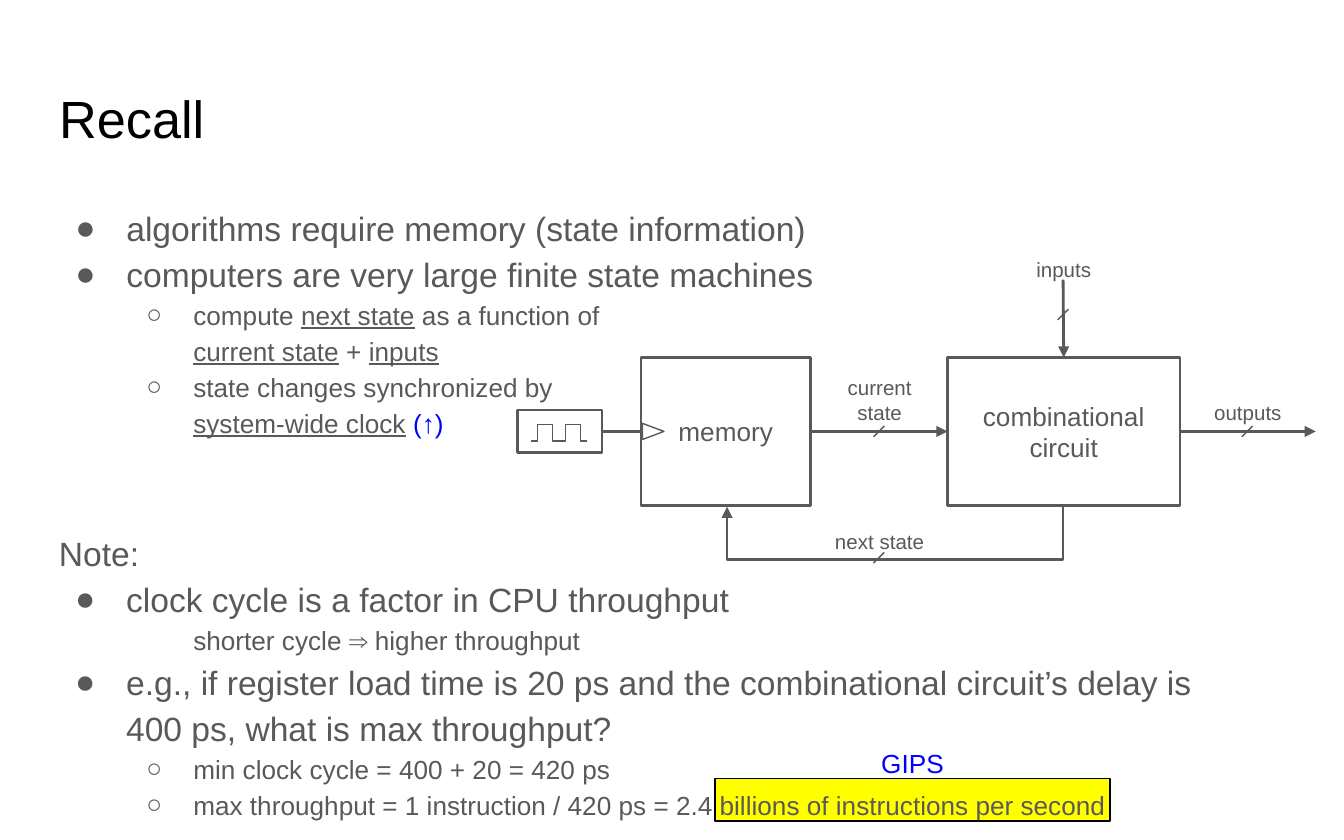
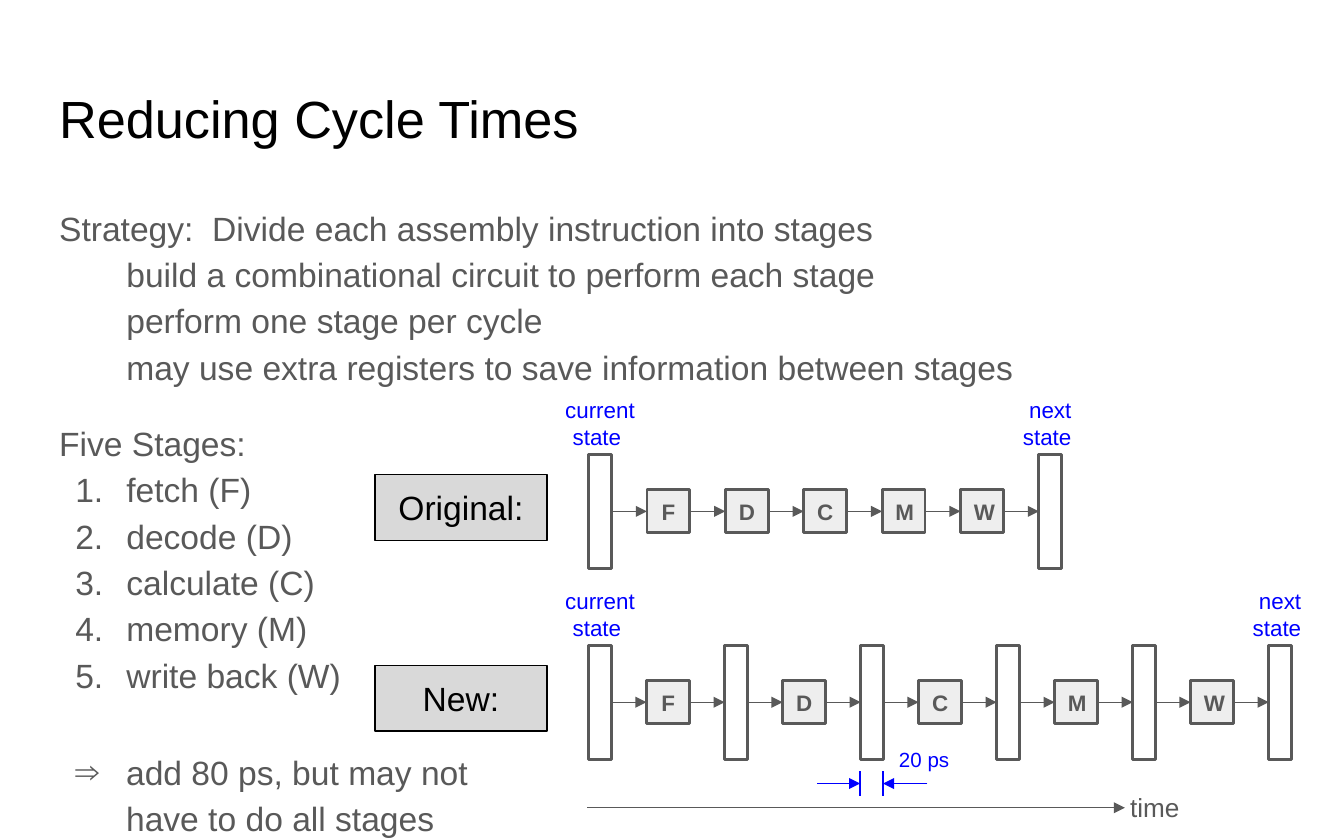
from dataclasses import dataclass

from lxml import etree
from pptx import Presentation
from pptx.dml.color import RGBColor
from pptx.enum.shapes import MSO_CONNECTOR, MSO_SHAPE
from pptx.enum.text import MSO_ANCHOR, MSO_AUTO_SIZE, PP_ALIGN
from pptx.oxml.ns import qn
from pptx.util import Inches, Pt

RECTANGLE, TRIANGLE = MSO_SHAPE.RECTANGLE, MSO_SHAPE.ISOSCELES_TRIANGLE
STRAIGHT = MSO_CONNECTOR.STRAIGHT
TOP, MIDDLE = MSO_ANCHOR.TOP, MSO_ANCHOR.MIDDLE
LEFT, CENTER = PP_ALIGN.LEFT, PP_ALIGN.CENTER
SIDE_TOP, SIDE_LEFT, SIDE_RIGHT = 0, 1, 3

COLORS = {
    "black": "000000", "gray": "595959", "blue": "0000FF",
    "yellow": "FFFF00", "badge": "D9D9D9", "stage": "EEEEEE",
}
FONT = "Arial"
THIN, THICK = 0.75, 1.5
BODY_SPACING = 1.15


@dataclass(frozen=True)
class Box:
    left: float
    top: float
    width: float
    height: float


@dataclass(frozen=True)
class Span:
    text: str
    underline: bool = False
    color: str = ""


@dataclass(frozen=True)
class Line:
    """One paragraph; bullet is a character, or "1." for automatic numbers."""
    spans: tuple
    size: float = 18
    color: str = "gray"
    bold: bool = False
    align: PP_ALIGN = LEFT
    margin: float = 0
    hanging: float = 0
    bullet: str = ""
    spacing: float = 1
    after: float = 0


@dataclass(frozen=True)
class Pipeline:
    name: str
    top: float
    last_left: float
    blocks: tuple  # stage letters; an empty string is a register


# Kinds of paragraph
def body(text: str, after: float = 0) -> Line:
    return Line((Span(text),), spacing=BODY_SPACING, after=after)


def indented(text: str, margin: float = 0.5, size: float = 18, after: float = 0) -> Line:
    return Line((Span(text),), size, margin=margin, spacing=BODY_SPACING, after=after)


def item(text: str, bullet: str = "●") -> Line:
    return Line((Span(text),), margin=0.5, hanging=0.38, bullet=bullet,
                spacing=BODY_SPACING)


def subitem(*spans: Span) -> Line:
    return Line(spans, 14, margin=1, hanging=0.35, bullet="○", spacing=BODY_SPACING)


def centered(text: str, size: float, color: str = "gray", bold: bool = False) -> list[Line]:
    return [Line((Span(row),), size, color, bold, CENTER) for row in text.split("\n")]


# Drawing helpers
def rgb(name: str) -> RGBColor:
    return RGBColor.from_string(COLORS[name])


def set_bullet(paragraph, line: Line) -> None:
    properties = paragraph._p.get_or_add_pPr()
    properties.set("marL", str(Inches(line.margin)))
    properties.set("indent", str(-Inches(line.hanging)))
    if not line.bullet:
        etree.SubElement(properties, qn("a:buNone"))
        return
    color = etree.SubElement(properties, qn("a:buClr"))
    etree.SubElement(color, qn("a:srgbClr"), val=COLORS[line.color])
    etree.SubElement(properties, qn("a:buFont"), typeface=FONT)
    if line.bullet == "1.":
        etree.SubElement(properties, qn("a:buAutoNum"), type="arabicPeriod")
    else:
        etree.SubElement(properties, qn("a:buChar"), char=line.bullet)


def write(shape, lines: list[Line], anchor: MSO_ANCHOR = TOP) -> None:
    frame = shape.text_frame
    frame.word_wrap = True
    frame.auto_size = MSO_AUTO_SIZE.NONE
    frame.vertical_anchor = anchor
    frame.margin_left = frame.margin_right = Inches(0.1)
    frame.margin_top = frame.margin_bottom = Inches(0.1)
    for index, line in enumerate(lines):
        paragraph = frame.add_paragraph() if index else frame.paragraphs[0]
        set_bullet(paragraph, line)
        paragraph.alignment = line.align
        paragraph.line_spacing = line.spacing
        paragraph.space_before = Pt(0)
        paragraph.space_after = Pt(line.after)
        font = paragraph.font
        font.name, font.size, font.bold = FONT, Pt(line.size), line.bold
        font.color.rgb = rgb(line.color)
        for span in line.spans:
            run = paragraph.add_run()
            run.text = span.text
            if span.underline:
                run.font.underline = True
            if span.color:
                run.font.color.rgb = rgb(span.color)


def place(shape, box: Box) -> None:
    shape.left, shape.top = Inches(box.left), Inches(box.top)
    shape.width, shape.height = Inches(box.width), Inches(box.height)


def add_text(slide, box: Box, lines: list[Line], anchor: MSO_ANCHOR = TOP) -> None:
    shape = slide.shapes.add_textbox(0, 0, 0, 0)
    place(shape, box)
    write(shape, lines, anchor)


def style(shape, line_color: str, weight: float, fill: str = "") -> None:
    shape.shadow.inherit = False
    if fill:
        shape.fill.solid()
        shape.fill.fore_color.rgb = rgb(fill)
    else:
        shape.fill.background()
    shape.line.color.rgb = rgb(line_color)
    shape.line.width = Pt(weight)


def add_box(slide, box: Box, lines: list[Line] | None = None, fill: str = "",
            line_color: str = "gray", weight: float = THICK, kind: MSO_SHAPE = RECTANGLE):
    shape = slide.shapes.add_shape(kind, 0, 0, 0, 0)
    place(shape, box)
    style(shape, line_color, weight, fill)
    if lines:
        write(shape, lines, MIDDLE)
    return shape


def add_arrowhead(shape) -> None:
    etree.SubElement(shape.line._get_or_add_ln(), qn("a:tailEnd"), type="triangle")


def add_line(slide, start: tuple, end: tuple, weight: float = THIN,
             color: str = "gray", arrow: bool = False):
    connector = slide.shapes.add_connector(STRAIGHT, *map(Inches, start + end))
    connector.line.color.rgb = rgb(color)
    connector.line.width = Pt(weight)
    if arrow:
        add_arrowhead(connector)
    etree.SubElement(connector._element.spPr, qn("a:effectLst"))
    return connector


def add_outline(slide, points: list[tuple], weight: float):
    corners = [(Inches(x), Inches(y)) for x, y in points]
    builder = slide.shapes.build_freeform(*corners[0])
    builder.add_line_segments(corners[1:], close=False)
    shape = builder.convert_to_shape()
    style(shape, "gray", weight)
    return shape


def join(connector, start=None, end=None, end_side: int = SIDE_LEFT) -> None:
    if start is not None:
        connector.begin_connect(start, SIDE_RIGHT)
    if end is not None:
        connector.end_connect(end, end_side)


def new_slide(presentation, title: str, lines: list[Line]):
    slide = presentation.slides.add_slide(presentation.slide_layouts[1])
    place(slide.shapes.title, Box(0.34, 0.54, 9.32, 0.7))
    write(slide.shapes.title, [Line((Span(title),), 28, "black")])
    content = slide.placeholders[1]
    place(content, Box(0.34, 1.4, 9.32, 4.15))
    write(content, lines)
    return slide


# Slide 1
def add_state_machine(slide) -> None:
    memory = add_box(slide, Box(4.77, 2.66, 1.26, 1.1), centered("memory", 14))
    circuit = add_box(slide, Box(7.05, 2.66, 1.73, 1.1),
                      centered("combinational\ncircuit", 14))
    clock = add_box(slide, Box(3.85, 3.05, 0.63, 0.32))
    clock_input = add_box(slide, Box(4.8, 3.13, 0.12, 0.16), weight=THIN, kind=TRIANGLE)
    clock_input.rotation = 90

    # Clock signal
    low, high = 3.28, 3.16
    wave = [(3.95, low)]
    for rise, fall in ((4.0, 4.11), (4.21, 4.32)):
        wave += [(rise, low), (rise, high), (fall, high), (fall, low)]
    add_outline(slide, wave + [(4.37, low)], THIN)

    # Signals between the blocks
    join(add_line(slide, (4.48, 3.21), (4.77, 3.21), THICK), clock, memory)
    join(add_line(slide, (6.03, 3.21), (7.05, 3.21), THICK, arrow=True), memory, circuit)
    join(add_line(slide, (7.91, 2.08), (7.91, 2.66), THICK, arrow=True),
         end=circuit, end_side=SIDE_TOP)
    join(add_line(slide, (8.78, 3.21), (9.79, 3.21), THICK, arrow=True), circuit)
    feedback = [(7.91, 3.77), (7.91, 4.16), (5.41, 4.16), (5.41, 3.77)]
    add_arrowhead(add_outline(slide, feedback, THICK))
    for x, y in ((6.54, 3.21), (7.91, 2.34), (6.54, 4.15), (9.28, 3.21)):
        add_line(slide, (x + 0.04, y - 0.04), (x - 0.04, y + 0.04))
    for text, left, top in (("inputs", 7.41, 1.81), ("current\nstate", 6.04, 2.77),
                            ("outputs", 8.78, 2.86), ("next state", 6.04, 3.82)):
        add_text(slide, Box(left, top, 1.01, 0.41), centered(text, 11),
                 TOP if text == "inputs" else MIDDLE)


def build_recall(presentation) -> None:
    slide = new_slide(presentation, "Recall", [
        item("algorithms require memory (state information)"),
        item("computers are very large finite state machines"),
    ])
    add_text(slide, Box(0.34, 2.09, 4.27, 1.18), [
        subitem(Span("compute "), Span("next state", True), Span(" as a function of "),
                Span("current state", True), Span(" + "), Span("inputs", True)),
        subitem(Span("state changes synchronized by "), Span("system-wide clock", True),
                Span(" "), Span("(↑)", color="blue")),
    ])
    add_state_machine(slide)

    # Throughput note
    add_box(slide, Box(5.32, 5.79, 2.94, 0.32), fill="yellow",
            line_color="black", weight=THIN)
    add_text(slide, Box(0.34, 3.82, 9, 2.4), [
        body("Note:"),
        item("clock cycle is a factor in CPU throughput"),
        indented("shorter cycle ⇒ higher throughput", 1, 14),
        item("e.g., if register load time is 20 ps and the combinational circuit’s "
             "delay is 400 ps, what is max throughput?"),
        subitem(Span("min clock cycle = 400 + 20 = 420 ps")),
        subitem(Span("max throughput = 1 instruction / 420 ps = 2.4 "
                     "billions of instructions per second")),
    ])
    add_text(slide, Box(5.32, 5.46, 2.94, 0.32), centered("GIPS", 14, "blue"))


# Slide 2
def add_pipeline(slide, row: Pipeline) -> None:
    first_left, register_width, register_height, stage_size = 4.38, 0.17, 0.85, 0.32
    middle = row.top + register_height / 2
    widths = [stage_size if letter else register_width for letter in row.blocks]
    gap = (row.last_left - first_left - sum(widths[:-1])) / (len(widths) - 1)
    add_box(slide, Box(2.79, row.top + 0.15, 1.28, 0.49),
            centered(row.name, 18, "black"), "badge", "black", THIN)

    left, previous = first_left, None
    for letter, width in zip(row.blocks, widths):
        if letter:
            block = add_box(slide, Box(left, middle - stage_size / 2, width, stage_size),
                            centered(letter, 12, bold=True), "stage")
        else:
            block = add_box(slide, Box(left, row.top, width, register_height))
        if previous is not None:
            join(add_line(slide, (left - gap, middle), (left, middle), arrow=True),
                 previous, block)
        left, previous = left + width + gap, block

    for text, register_left in (("current\nstate ", first_left),
                                ("next\nstate ", row.last_left)):
        center = register_left + register_width / 2
        add_text(slide, Box(center - 0.515, row.top - 0.53, 1.03, 0.53),
                 centered(text, 12, "blue"))


def build_cycle_times(presentation) -> None:
    stages = ("fetch (F)", "decode (D)", "calculate (C)", "memory (M)", "write back (W)")
    slide = new_slide(presentation, "Reducing Cycle Times", [
        body("Strategy:  Divide each assembly instruction into stages"),
        indented("build a combinational circuit to perform each stage"),
        indented("perform one stage per cycle"),
        indented("may use extra registers to save information between stages", after=16),
        body("Five Stages:"),
        *(item(stage, "1.") for stage in stages),
    ])
    add_text(slide, Box(0.34, 5.45, 3.73, 0.7),
             [item("add 80 ps, but may not have to do all stages", "⇒")])
    add_pipeline(slide, Pipeline("Original:", 3.38, 7.73, ("", *"FDCMW", "")))
    interleaved = [block for letter in "FDCMW" for block in ("", letter)]
    add_pipeline(slide, Pipeline("New:", 4.8, 9.44, (*interleaved, "")))

    # Register delay
    for edge, tail in ((6.4, 6.08), (6.57, 6.9)):
        add_line(slide, (edge, 5.74), (edge, 5.92), color="blue")
        add_line(slide, (tail, 5.83), (edge, 5.83), color="blue", arrow=True)
    add_text(slide, Box(6.59, 5.46, 0.88, 0.32), [Line((Span("20 ps"),), 11, "blue")])

    # Time axis
    add_line(slide, (4.37, 6.01), (8.37, 6.01), arrow=True)
    add_text(slide, Box(8.31, 5.79, 0.82, 0.38), [Line((Span("time"),), 14)])


def main() -> None:
    presentation = Presentation()
    presentation.slide_width, presentation.slide_height = Inches(10), Inches(6.25)
    build_recall(presentation)
    build_cycle_times(presentation)
    presentation.save("out.pptx")


if __name__ == "__main__":
    main()
